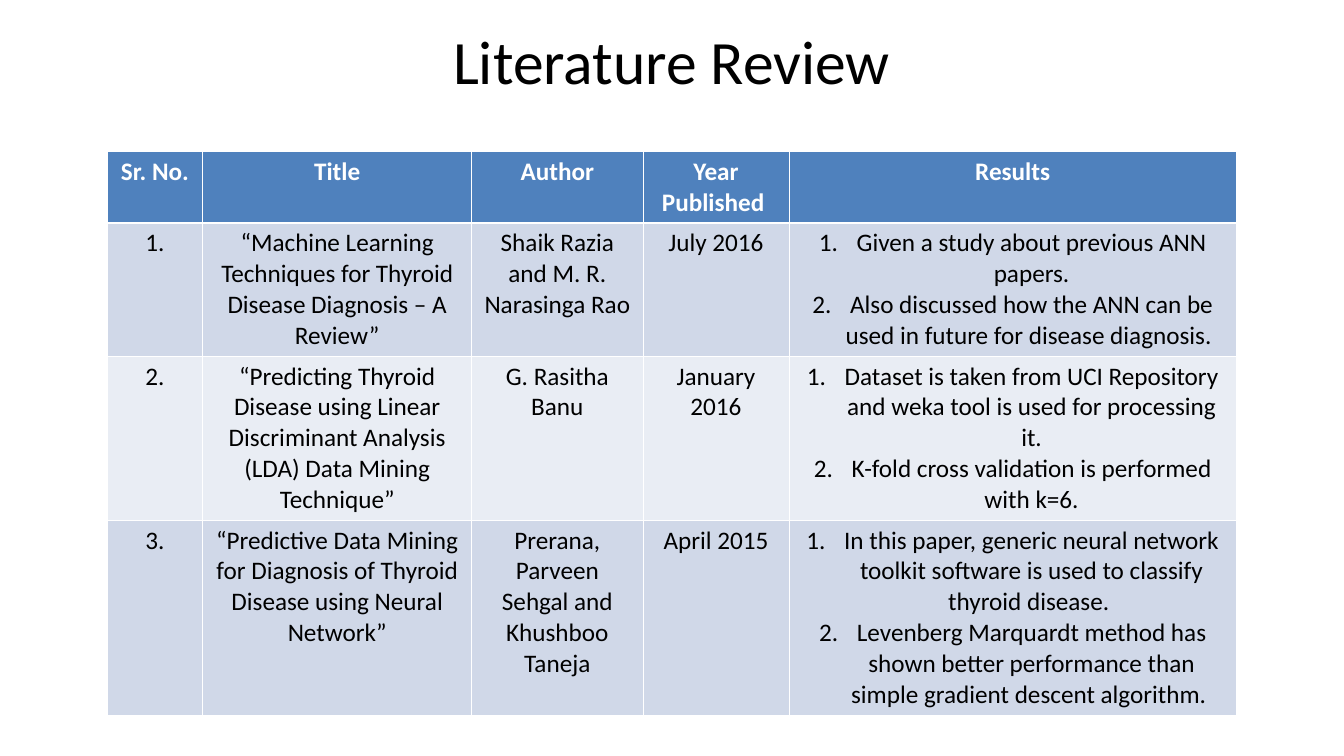
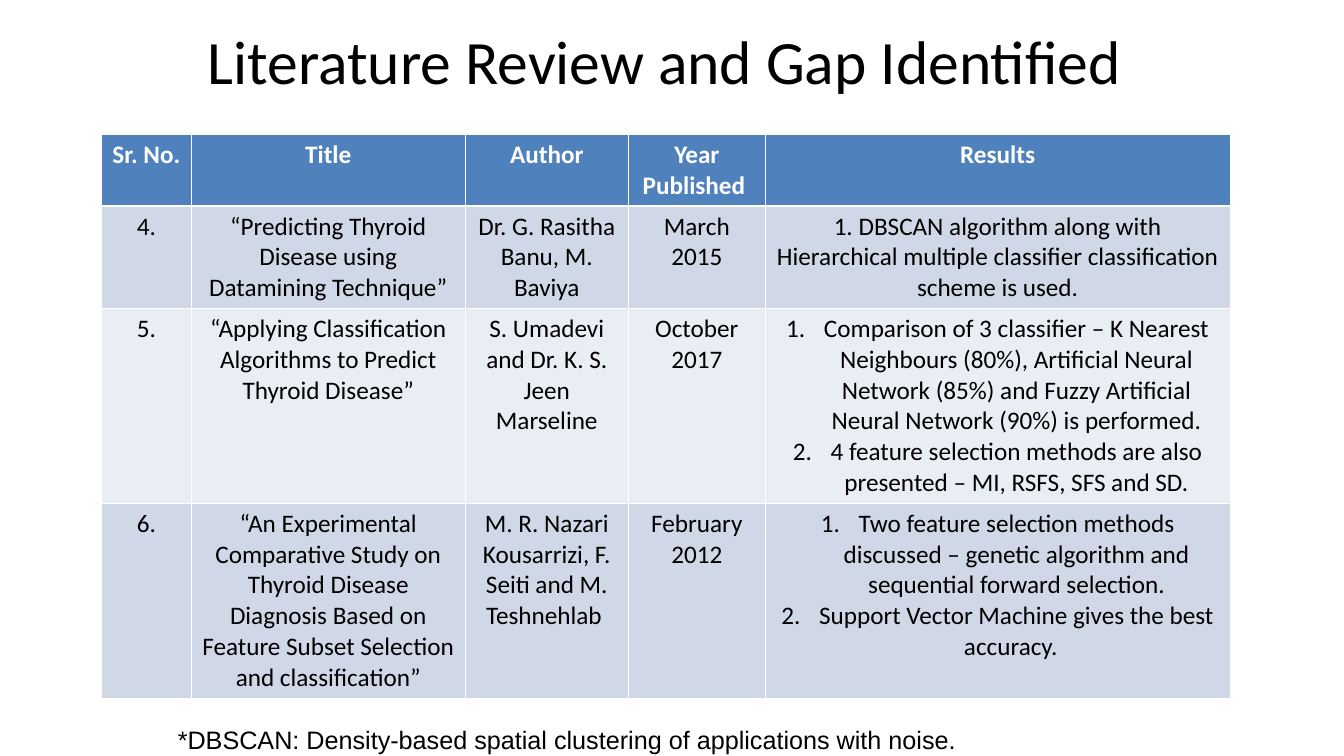
from dataclasses import dataclass
from itertools import accumulate
from typing import Any

from lxml.etree import SubElement
from pptx import Presentation
from pptx.dml.color import RGBColor
from pptx.enum.text import MSO_ANCHOR, MSO_AUTO_SIZE, PP_ALIGN
from pptx.oxml.ns import qn
from pptx.util import Pt


@dataclass(frozen=True)
class Theme:
    black: str = "000000"
    white: str = "FFFFFF"
    header: str = "4F81BD"
    bands: tuple[str, str] = ("D0D8E8", "E9EDF4")
    font: str = "Calibri"
    note_font: str = "Arial"
    title_size: float = 44
    body_size: float = 18
    thin_rule: float = 0.45
    header_rule: float = 1.47


@dataclass(frozen=True)
class Paper:
    number: str
    title: str
    author: str
    published: str
    results: tuple[str, ...]  # more than one result makes a numbered list
    lines: int  # text lines in the tallest cell


@dataclass(frozen=True)
class Review:
    heading: str
    left: float
    top: float
    columns: tuple[float, ...]
    papers: tuple[Paper, ...]
    note: str = ""


THEME = Theme()
SLIDE_WIDTH, SLIDE_HEIGHT = 960.5, 540
LINE_HEIGHT, CELL_PADDING = 22, 7.2
HEADER_LINES = 2
LIST_INDENT = 27
HEADINGS = ("Sr. No.", "Title", "Author", "Year Published ", "Results")

REVIEWS = (
    Review(
        "Literature Review", 76.5, 108, (68.4, 192.2, 122.4, 104.4, 319.7),
        (
            Paper("1.", "“Machine Learning Techniques for Thyroid Disease Diagnosis – A Review”",
                  "Shaik Razia and M. R. Narasinga Rao", "July 2016",
                  ("Given a study about previous ANN papers.",
                   "Also discussed how the ANN can be used in future for disease diagnosis. "), 4),
            Paper("2.", "“Predicting Thyroid Disease using Linear Discriminant Analysis (LDA) "
                  "Data Mining Technique”",
                  "G. Rasitha Banu", "January 2016",
                  ("Dataset is taken from UCI Repository and weka tool is used for processing it.",
                   "K-fold cross validation is performed with k=6."), 5),
            Paper("3.", "“Predictive Data Mining for Diagnosis of Thyroid Disease using Neural Network”",
                  "Prerana, Parveen Sehgal and Khushboo Taneja", "April 2015",
                  ("In this paper, generic neural network toolkit software is used to classify "
                   "thyroid disease. ",
                   "Levenberg Marquardt method has shown better performance than simple "
                   "gradient descent algorithm. "), 6),
        ),
    ),
    Review(
        "Literature Review and Gap Identified ", 72.5, 96, (64.2, 195.8, 116.6, 97.9, 332),
        (
            Paper("4.", "“Predicting Thyroid Disease using Datamining Technique”",
                  "Dr. G. Rasitha Banu, M. Baviya", "March 2015",
                  ("1. DBSCAN algorithm along with Hierarchical multiple classifier "
                   "classification scheme is used.",), 3),
            Paper("5.", "“Applying Classification Algorithms to Predict Thyroid Disease”",
                  "S. Umadevi and Dr. K. S. Jeen Marseline", "October 2017",
                  ("Comparison of 3 classifier – K Nearest Neighbours (80%), Artificial Neural "
                   "Network (85%) and Fuzzy Artificial Neural Network (90%) is performed.",
                   "4 feature selection methods are also presented – MI, RSFS, SFS and SD."), 6),
            Paper("6.", "“An Experimental Comparative Study on Thyroid Disease Diagnosis Based on "
                  "Feature Subset Selection and classification”",
                  "M. R. Nazari Kousarrizi, F. Seiti and M. Teshnehlab ", "February 2012",
                  ("Two feature selection methods discussed – genetic algorithm and sequential "
                   "forward selection.",
                   "Support Vector Machine gives the best accuracy.  "), 6),
        ),
        "*DBSCAN: Density-based spatial clustering of applications with noise.",
    ),
)


def add_text(paragraph: Any, text: str, size: float, color: str, *, font: str = THEME.font,
             bold: bool = False, align: PP_ALIGN = PP_ALIGN.CENTER) -> None:
    paragraph.alignment = align
    run = paragraph.add_run()
    run.text = text
    run.font.name = font
    run.font.size = Pt(size)
    run.font.bold = bold
    run.font.color.rgb = RGBColor.from_string(color)


def number_paragraph(paragraph: Any) -> None:
    properties = paragraph._p.get_or_add_pPr()
    properties.set("marL", str(Pt(LIST_INDENT)))
    properties.set("indent", str(-Pt(LIST_INDENT)))
    SubElement(properties, qn("a:buAutoNum"), type="arabicPeriod")


def set_borders(cell: Any, top: float, bottom: float) -> None:
    properties = cell._tc.get_or_add_tcPr()
    widths = {"a:lnL": THEME.thin_rule, "a:lnR": THEME.thin_rule, "a:lnT": top, "a:lnB": bottom}
    for side, width in widths.items():
        line = SubElement(properties, qn(side), w=str(Pt(width)))
        fill = SubElement(line, qn("a:solidFill"))
        SubElement(fill, qn("a:srgbClr"), val=THEME.white)


def fill_cell(cell: Any, texts: tuple[str, ...], row: int) -> None:
    is_header = row == 0
    set_borders(cell, THEME.header_rule if row == 1 else THEME.thin_rule,
                THEME.header_rule if is_header else THEME.thin_rule)
    cell.fill.solid()
    background = THEME.header if is_header else THEME.bands[(row - 1) % 2]
    cell.fill.fore_color.rgb = RGBColor.from_string(background)
    frame = cell.text_frame
    for index, text in enumerate(texts):
        paragraph = frame.add_paragraph() if index else frame.paragraphs[0]
        if len(texts) > 1:
            number_paragraph(paragraph)
        add_text(paragraph, text, THEME.body_size, THEME.white if is_header else THEME.black,
                 bold=is_header)


def add_box(slide: Any, left: float, top: float, width: float, height: float) -> Any:
    frame = slide.shapes.add_textbox(Pt(left), Pt(top), Pt(width), Pt(height)).text_frame
    frame.word_wrap = True
    frame.vertical_anchor = MSO_ANCHOR.TOP
    return frame


def add_papers(slide: Any, review: Review) -> None:
    line_counts = [HEADER_LINES, *(paper.lines for paper in review.papers)]
    heights = [count * LINE_HEIGHT + CELL_PADDING for count in line_counts]
    table = slide.shapes.add_table(
        len(heights), len(HEADINGS), Pt(review.left), Pt(review.top),
        Pt(sum(review.columns)), Pt(sum(heights))).table
    for column, width in zip(table.columns, review.columns):
        column.width = Pt(width)
    rows = [tuple((heading,) for heading in HEADINGS)]
    rows += [((paper.number,), (paper.title,), (paper.author,), (paper.published,), paper.results)
             for paper in review.papers]
    for row, (contents, height) in enumerate(zip(rows, heights)):
        table.rows[row].height = Pt(height)
        for column, texts in enumerate(contents):
            fill_cell(table.cell(row, column), texts, row)


def add_review(presentation: Any, review: Review) -> None:
    slide = presentation.slides.add_slide(presentation.slide_layouts[6])
    # Heading
    heading = add_box(slide, 126, 12.5, 708, 78)
    add_text(heading.paragraphs[0], review.heading, THEME.title_size, THEME.black)
    # Table of papers
    add_papers(slide, review)
    # Footnote
    if review.note:
        note = add_box(slide, 120, 513.5, 576, 29)
        note.auto_size = MSO_AUTO_SIZE.SHAPE_TO_FIT_TEXT
        add_text(note.paragraphs[0], review.note, THEME.body_size, THEME.black,
                 font=THEME.note_font, align=PP_ALIGN.LEFT)


def main() -> None:
    presentation = Presentation()
    presentation.slide_width = Pt(SLIDE_WIDTH)
    presentation.slide_height = Pt(SLIDE_HEIGHT)
    for review in REVIEWS:
        add_review(presentation, review)
    presentation.save("out.pptx")


if __name__ == "__main__":
    main()
